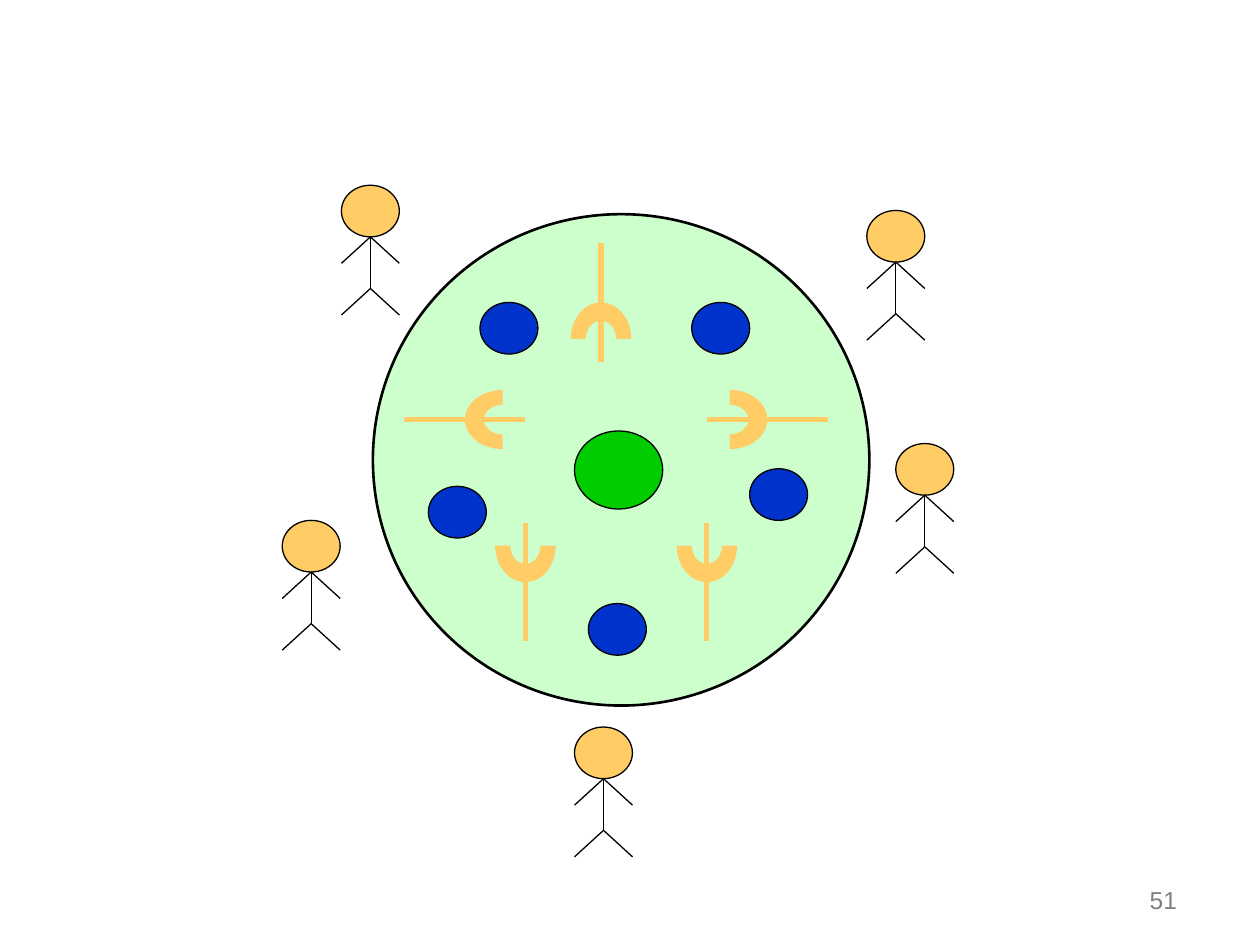
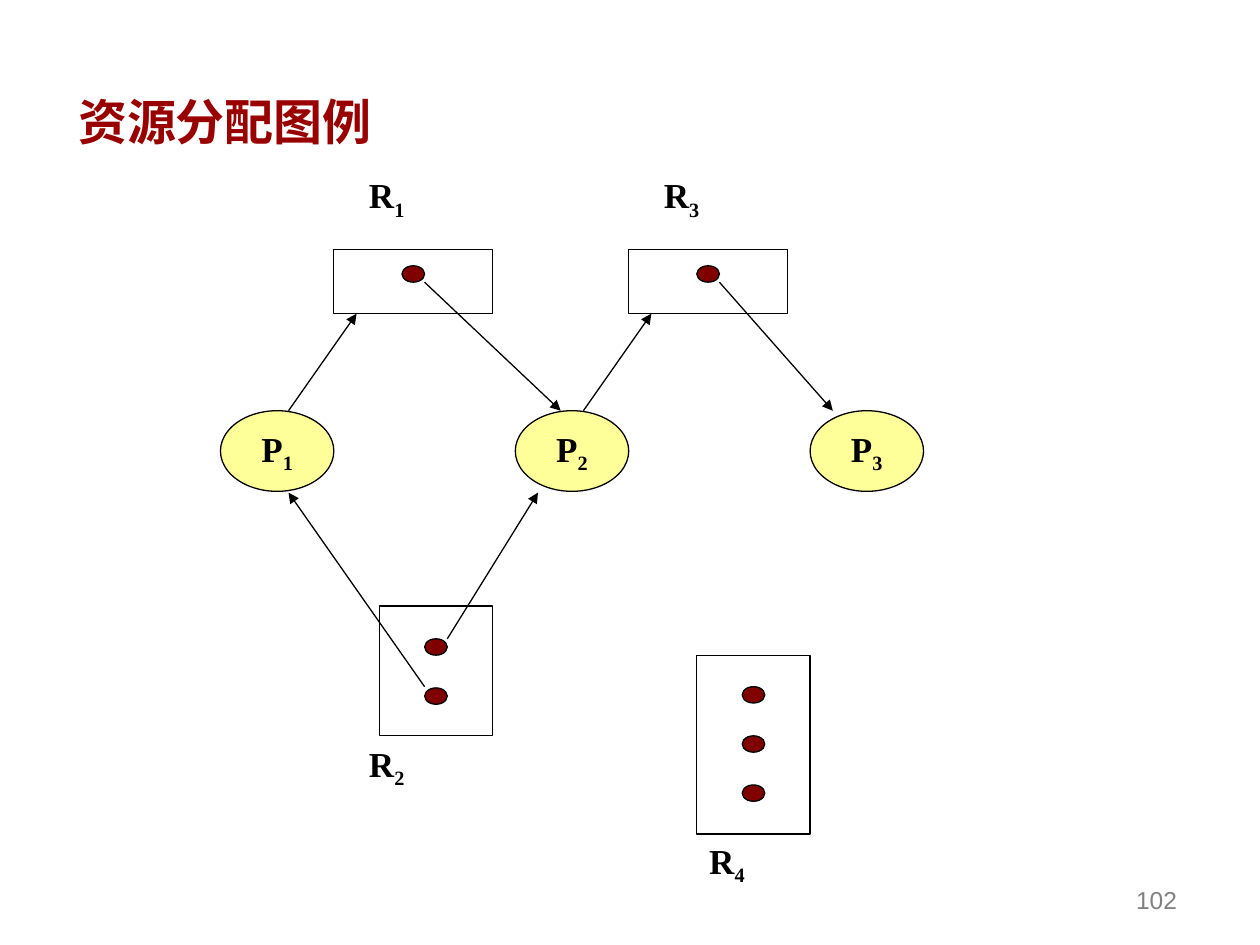
from math import cos, radians, sin

from lxml import etree
from pptx import Presentation
from pptx.dml.color import RGBColor
from pptx.enum.shapes import MSO_CONNECTOR as Connector, MSO_SHAPE as Shape
from pptx.enum.text import MSO_ANCHOR as Anchor, MSO_AUTO_SIZE as AutoSize, PP_ALIGN as Align
from pptx.oxml.ns import qn
from pptx.util import Inches, Pt

BLACK = RGBColor(0x00, 0x00, 0x00)
GRAY = RGBColor(0x80, 0x80, 0x80)
TITLE_RED = RGBColor(0x99, 0x00, 0x00)
TABLE_GREEN = RGBColor(0xCC, 0xFF, 0xCC)
DISH_GREEN = RGBColor(0x00, 0xCC, 0x00)
PLATE_BLUE = RGBColor(0x00, 0x33, 0xCC)
TAN = RGBColor(0xFF, 0xCC, 0x66)
PROCESS_YELLOW = RGBColor(0xFF, 0xFF, 0x99)
INSTANCE_RED = RGBColor(0x80, 0x00, 0x00)

SANS = "Arial"
SERIF = "Times New Roman"
TITLE_ONLY, BLANK = 5, 6
COLUMN = 2.34
HALF_ARC = [(-1, 0), (-1, -0.55), (-0.55, -1), (0, -1), (0.55, -1), (1, -0.55), (1, 0)]


def set_font(para, name, size, color, bold=False):
    font = para.font
    font.name, font.size, font.bold = name, Pt(size), bold
    font.color.rgb = color


def add_figure(page, kind, left, top, width, height, fill=None, line_width=0.75):
    figure = page.shapes.add_shape(
        kind, Inches(left), Inches(top), Inches(width), Inches(height))
    figure.shadow.inherit = False
    if fill is None:
        figure.fill.background()
    else:
        figure.fill.solid()
        figure.fill.fore_color.rgb = fill
    figure.line.color.rgb = BLACK
    figure.line.width = Pt(line_width)
    return figure


def add_line(page, start, end, color=BLACK, width=0.75, arrow=False):
    line = page.shapes.add_connector(
        Connector.STRAIGHT, *(Inches(value) for value in (*start, *end)))
    line.line.color.rgb = color
    line.line.width = Pt(width)
    if arrow:
        etree.SubElement(line.line._get_or_add_ln(), qn("a:tailEnd"), type="triangle")
    etree.SubElement(line._element.spPr, qn("a:effectLst"))


def add_text_box(page, left, top, width, height):
    box = page.shapes.add_textbox(
        Inches(left), Inches(top), Inches(width), Inches(height))
    box.text_frame.word_wrap = True
    return box.text_frame


def add_page_number(page, number):
    frame = add_text_box(page, 7.36, 6.81, 2.08, 0.5)
    frame.vertical_anchor = Anchor.BOTTOM
    para = frame.paragraphs[0]
    para.text = str(number)
    para.alignment = Align.RIGHT
    para.space_before = Pt(8.8)
    set_font(para, SANS, 14, GRAY)


def set_title(page, text):
    title = page.shapes.title
    title.left, title.top = Inches(0.52), Inches(0.65)
    title.width, title.height = Inches(9), Inches(0.59)
    frame = title.text_frame
    frame.auto_size = AutoSize.NONE
    frame.vertical_anchor = Anchor.BOTTOM
    para = frame.paragraphs[0]
    para.text = text
    para.alignment = Align.LEFT
    set_font(para, SANS, 28, TITLE_RED, bold=True)


def merge_into_curves(segments):
    first, *others = segments
    first.tag = qn("a:cubicBezTo")
    for segment in others:
        first.append(segment[0])
        segment.getparent().remove(segment)


def draw_tines(page, x, y, width, height, angle):
    def arc(scale):
        return [(Inches(x + scale * width / 2 * a), Inches(y + scale * height / 2 * b))
                for a, b in HALF_ARC]

    outline = arc(1) + arc(0.5)[::-1]
    builder = page.shapes.build_freeform(*outline[0])
    builder.add_line_segments(outline[1:], close=True)
    tines = builder.convert_to_shape()
    segments = list(tines._element.iter(qn("a:lnTo")))
    for start in (0, 3, 7, 10):
        merge_into_curves(segments[start:start + 3])
    frame = next(tines._element.iter(qn("a:path")))
    frame.set("h", str(2 * int(frame.get("h"))))
    tines.height *= 2
    tines.rotation = angle
    tines.shadow.inherit = False
    tines.fill.solid()
    tines.fill.fore_color.rgb = TAN
    tines.line.fill.background()


def draw_fork(page, x, y, angle):
    sideways = angle in (90, 270)
    width, height = (0.47, 0.6) if sideways else (0.48, 0.58)
    handle, tip = (0.78, 0.18) if sideways else (0.76, 0.18)
    along_x, along_y = sin(radians(angle)), -cos(radians(angle))
    add_line(page, (x + handle * along_x, y + handle * along_y),
             (x - tip * along_x, y - tip * along_y), TAN, 3)
    draw_tines(page, x, y, width, height, angle)


def draw_table(page, left, top):
    add_figure(page, Shape.OVAL, left, top, 3.94, 3.9, TABLE_GREEN, 1.5)
    for x, y in [(0.85, 0.7), (2.53, 0.7), (2.99, 2.02), (1.71, 3.09), (0.44, 2.16)]:
        add_figure(page, Shape.OVAL, left + x, top + y, 0.46, 0.41, PLATE_BLUE)
    add_figure(page, Shape.OVAL, left + 1.6, top + 1.72, 0.7, 0.62, DISH_GREEN)
    for x, y, angle in [(1.81, 0.99, 0), (1.03, 1.63, 270), (2.83, 1.63, 90),
                        (2.65, 2.63, 180), (1.21, 2.63, 180)]:
        draw_fork(page, left + x, top + y, angle)


def draw_philosopher(page, left, top):
    add_figure(page, Shape.OVAL, left, top, 0.46, 0.41, TAN)
    neck, chest, hip = [(left + 0.23, top + drop) for drop in (0.41, 0.62, 0.82)]
    add_line(page, neck, chest)
    add_line(page, chest, hip)
    for joint in (hip, neck):
        for side in (left, left + 0.46):
            add_line(page, joint, (side, joint[1] + 0.21))


def add_symbol(para, letter, index):
    para.add_run().text = letter
    span = para.add_run()
    span.text = str(index)
    span._r.get_or_add_rPr().set("baseline", "-25000")
    set_font(para, SERIF, 20, BLACK, bold=True)


def draw_process(page, left, top, index):
    process = add_figure(page, Shape.OVAL, left, top, 0.9, 0.64, PROCESS_YELLOW)
    frame = process.text_frame
    frame.word_wrap = False
    frame.vertical_anchor = Anchor.MIDDLE
    para = frame.paragraphs[0]
    para.alignment = Align.CENTER
    add_symbol(para, "P", index)


def draw_resource(page, box, index, instances, first_dot, label_at):
    left, top, width, height = box
    add_figure(page, Shape.RECTANGLE, *box)
    for step in range(instances):
        add_figure(page, Shape.OVAL, left + width / 2 - 0.09,
                   top + first_dot + 0.39 * step, 0.18, 0.13, INSTANCE_RED)
    label_x, label_y = label_at
    para = add_text_box(page, left + label_x, top + label_y, 1.08, 0.48).paragraphs[0]
    para.space_before = Pt(12.5)
    add_symbol(para, "R", index)


def draw_allocation_graph(page, left, top):
    for column, index in enumerate((1, 3)):
        draw_resource(page, (left + 0.9 + column * COLUMN, top, 1.26, 0.51),
                      index, 1, 0.13, (0.18, -0.65))
    draw_resource(page, (left + 1.26, top + 2.83, 0.9, 1.03), 2, 2, 0.26, (-0.18, 1.03))
    draw_resource(page, (left + 3.78, top + 3.22, 0.9, 1.42), 4, 3, 0.25, (0, 1.41))
    for column in range(3):
        draw_process(page, left + column * COLUMN, top + 1.28, column + 1)
    arrows = [((0.54 + shift, 1.28), (1.08 + shift, 0.51)) for shift in (0, COLUMN)]
    arrows += [((1.62, 0.26), (2.7, 1.28)), ((3.96, 0.26), (4.86, 1.28)),
               ((1.8, 3.09), (2.52, 1.93)), ((1.62, 3.47), (0.54, 1.93))]
    for start, end in arrows:
        add_line(page, (left + start[0], top + start[1]),
                 (left + end[0], top + end[1]), arrow=True)


def build_philosophers_page(deck):
    page = deck.slides.add_slide(deck.slide_layouts[BLANK])
    draw_table(page, 2.96, 1.7)
    for seat in [(6.88, 1.67), (7.11, 3.52), (4.56, 5.77), (2.71, 1.47), (2.24, 4.13)]:
        draw_philosopher(page, *seat)
    add_page_number(page, 51)


def build_allocation_page(deck):
    page = deck.slides.add_slide(deck.slide_layouts[TITLE_ONLY])
    set_title(page, "资源分配图例")
    draw_allocation_graph(page, 1.75, 1.98)
    add_page_number(page, 102)


def main():
    deck = Presentation()
    deck.slide_width, deck.slide_height = Inches(10), Inches(7.5)
    build_philosophers_page(deck)
    build_allocation_page(deck)
    deck.save("out.pptx")


if __name__ == "__main__":
    main()
